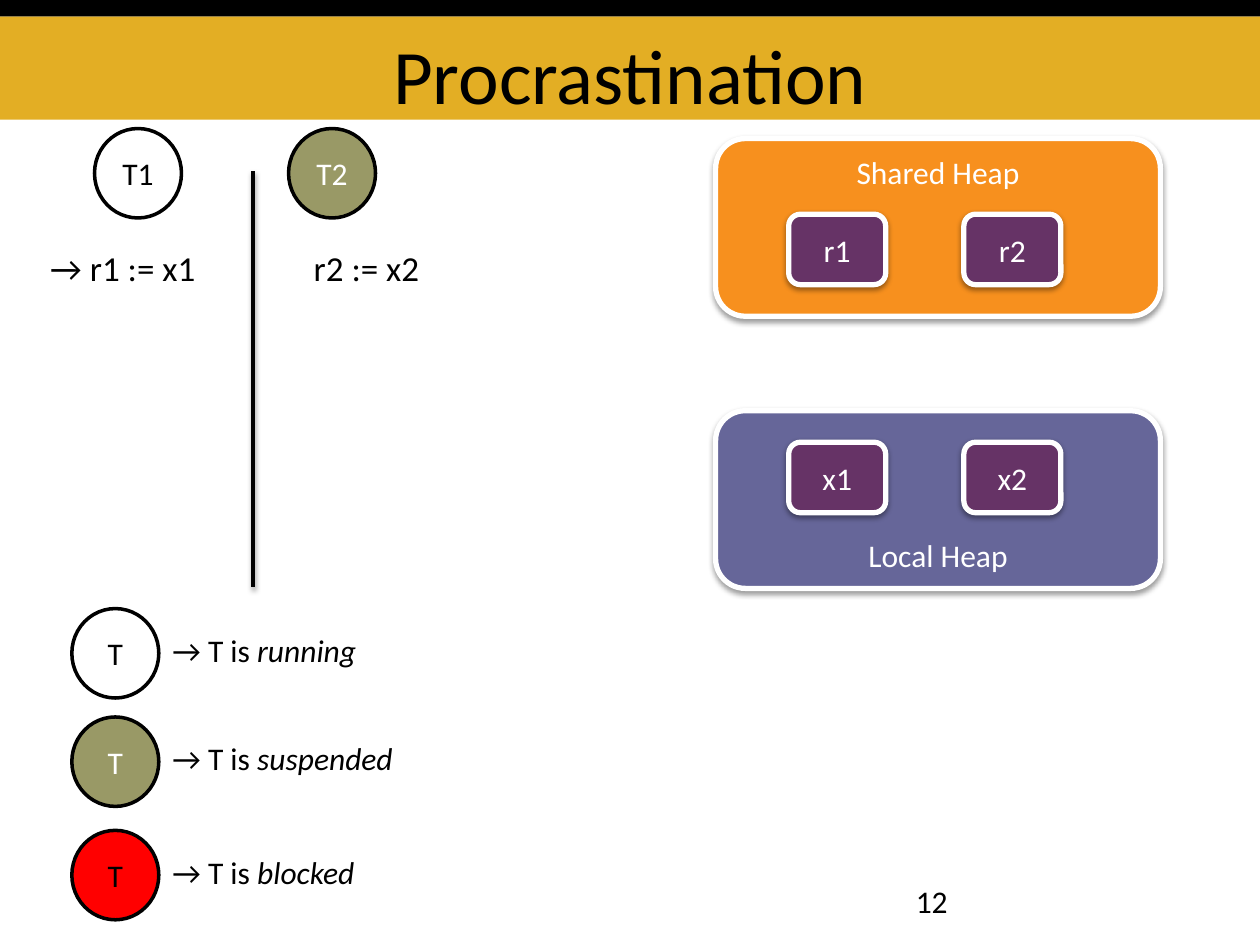
from lxml import etree
from pptx import Presentation
from pptx.dml.color import RGBColor
from pptx.enum import shapes, text
from pptx.oxml import ns
from pptx.util import Inches, Pt

BLACK = RGBColor(0x00, 0x00, 0x00)
WHITE = RGBColor(0xFF, 0xFF, 0xFF)
GOLD = RGBColor(0xE3, 0xAE, 0x24)
ORANGE = RGBColor(0xF7, 0x90, 0x1E)
SLATE = RGBColor(0x66, 0x66, 0x99)
PLUM = RGBColor(0x66, 0x33, 0x66)
OLIVE = RGBColor(0x99, 0x99, 0x66)
RED = RGBColor(0xFF, 0x00, 0x00)
FONT = "Calibri"

RECT = shapes.MSO_SHAPE.RECTANGLE
ROUNDED = shapes.MSO_SHAPE.ROUNDED_RECTANGLE
OVAL = shapes.MSO_SHAPE.OVAL
TOP, MIDDLE, BOTTOM = (text.MSO_ANCHOR.TOP, text.MSO_ANCHOR.MIDDLE,
                       text.MSO_ANCHOR.BOTTOM)
LEFT, CENTER = text.PP_ALIGN.LEFT, text.PP_ALIGN.CENTER


def write(tf, content, italic="", size=18, color=BLACK, align=LEFT, anchor=TOP):
    """Fill a frame with one paragraph, optionally ending in italics."""
    tf.word_wrap = True
    tf.vertical_anchor = anchor
    p = tf.paragraphs[0]
    p.alignment = align
    for words, slanted in ((content, False), (italic, True)):
        if words:
            r = p.add_run()
            r.text = words
            r.font.name, r.font.size = FONT, Pt(size)
            r.font.color.rgb = color
            r.font.italic = slanted


def add_label(slide, box, content, indent=0, **fmt):
    sp = slide.shapes.add_textbox(*map(Inches, box))
    sp.text_frame.margin_left = Inches(0.1 + indent)
    write(sp.text_frame, content, **fmt)


def add_shadow(sp):
    """Give a shape or connector a soft shadow falling straight down."""
    sp_pr = sp._element.spPr
    effects = sp_pr.find(ns.qn("a:effectLst"))
    if effects is None:
        effects = etree.SubElement(sp_pr, ns.qn("a:effectLst"))
    shadow = etree.SubElement(effects, ns.qn("a:outerShdw"), blurRad=str(Pt(3.1)),
                              dist=str(Pt(1.6)), dir="5400000", rotWithShape="0")
    color = etree.SubElement(shadow, ns.qn("a:srgbClr"), val=str(BLACK))
    etree.SubElement(color, ns.qn("a:alpha"), val="38000")


def add_block(slide, kind, box, fill, line=None, width=3, shadow=False):
    sp = slide.shapes.add_shape(kind, *map(Inches, box))
    sp.fill.solid()
    sp.fill.fore_color.rgb = fill
    if line is None:
        sp.line.fill.background()
    else:
        sp.line.color.rgb = line
        sp.line.width = Pt(width)
    sp.shadow.inherit = False
    if shadow:
        add_shadow(sp)
    return sp


def add_title(slide, box, content):
    x, y, w, h = box
    # Bands lie behind the title
    bands = [add_block(slide, RECT, box, GOLD),
             add_block(slide, RECT, (x, 0, w, y), BLACK)]
    title = slide.shapes.title
    for band in bands:
        title._element.addprevious(band._element)
    title.left, title.top, title.width, title.height = map(
        Inches, (x + 0.5, y, w - 1, h))
    title.text_frame.margin_bottom = 0
    write(title.text_frame, content, size=44, align=CENTER, anchor=BOTTOM)


def add_heap(slide, box, name, fill, cells, cell_top, anchor):
    x, y, w, h = box
    heap = add_block(slide, ROUNDED, box, fill, WHITE, shadow=True)
    write(heap.text_frame, name, color=WHITE, align=CENTER, anchor=anchor)
    for i, cell in enumerate(cells):
        sp = add_block(slide, ROUNDED,
                       (x + 0.58 + 1.39 * i, y + cell_top, 0.77, 0.56),
                       PLUM, WHITE, shadow=True)
        write(sp.text_frame, cell, color=WHITE, align=CENTER, anchor=MIDDLE)


def add_thread(slide, x, y, name, fill):
    sp = add_block(slide, OVAL, (x, y, 0.69, 0.71), fill, BLACK, 2)
    write(sp.text_frame, name, color=WHITE if fill == OLIVE else BLACK,
          align=CENTER, anchor=MIDDLE)


def add_program(slide, box):
    """Two threads and their code, side by side with a divider between."""
    x, y, w, h = box
    column = w / 2
    divider = slide.shapes.add_connector(
        shapes.MSO_CONNECTOR.STRAIGHT,
        *map(Inches, (x + column, y + 0.34, x + column, y + h)))
    divider.line.color.rgb = BLACK
    divider.line.width = Pt(2)
    add_shadow(divider)
    threads = (("T1", WHITE, 0.45, "→ r1 := x1", 0),
               ("T2", OLIVE, 0.28, "r2 := x2", 0.38))
    for i, (name, fill, offset, code, indent) in enumerate(threads):
        left = x + column * i
        add_thread(slide, left + offset, y, name, fill)
        add_label(slide, (left, y + 0.89, column, 0.44), code, indent, size=20)


def add_legend(slide, box):
    x, y, w, h = box
    states = (("running", WHITE, 0), ("suspended", OLIVE, 0.86),
              ("blocked", RED, 1.76))
    for state, fill, offset in states:
        add_thread(slide, x, y + offset, "T", fill)
        add_label(slide, (x + 0.7, y + offset + 0.13, w - 0.7, 0.4),
                  "→ T is ", italic=state)


def main():
    prs = Presentation()
    prs.slide_width, prs.slide_height = Inches(10), Inches(7.5)
    slide = prs.slides.add_slide(prs.slide_layouts[5])  # title only

    add_title(slide, (0, 0.13, 10, 0.82), "Procrastination")
    add_heap(slide, (5.68, 1.1, 3.53, 1.41), "Shared Heap", ORANGE,
             ("r1", "r2"), 0.6, TOP)
    add_heap(slide, (5.68, 3.26, 3.53, 1.41), "Local Heap", SLATE,
             ("x1", "x2"), 0.25, BOTTOM)
    add_program(slide, (0.3, 1.02, 3.42, 3.64))
    add_legend(slide, (0.57, 4.83, 2.98, 2.47))
    add_label(slide, (7.17, 6.95, 2.33, 0.4), "12")  # page number

    prs.save("out.pptx")


if __name__ == "__main__":
    main()
